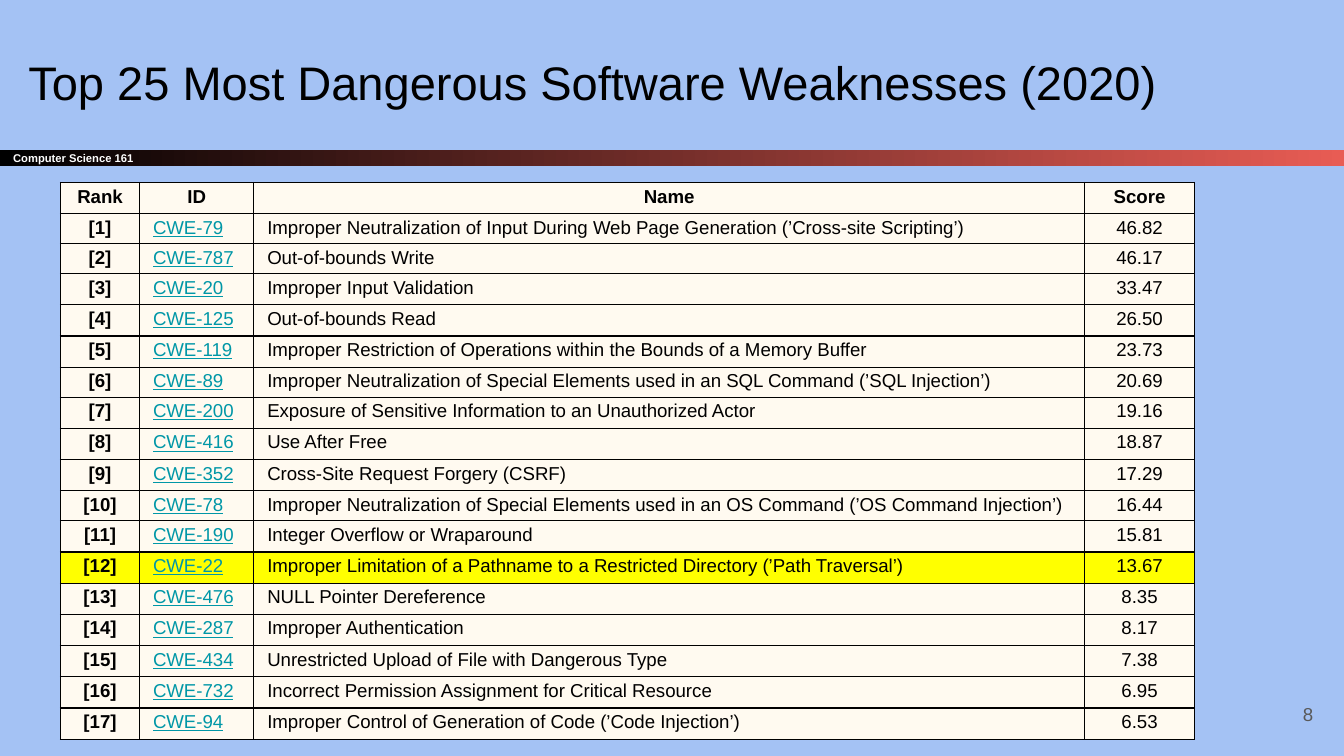
from lxml.etree import SubElement
from pptx import Presentation
from pptx.dml.color import RGBColor
from pptx.enum.shapes import MSO_SHAPE
from pptx.enum.text import MSO_ANCHOR, PP_ALIGN
from pptx.oxml.ns import qn
from pptx.util import Pt

COLORS = {
    "background": "A4C2F4",
    "text": "000000",
    "bar_start": "000000",
    "bar_end": "E85C54",
    "bar_text": "FFFFFF",
    "page_number": "595959",
    "cell": "FFFAF0",
    "highlight": "FFFF00",
    "link": "0097A7",
    "border": "000000",
}
FONT = "Arial"
INSET = 7.2
HEADINGS = ("Rank", "ID", "Name", "Score")
WEAKNESSES = [
    ("CWE-79", "Improper Neutralization of Input During Web Page Generation (’Cross-site Scripting’)", "46.82"),
    ("CWE-787", "Out-of-bounds Write", "46.17"),
    ("CWE-20", "Improper Input Validation", "33.47"),
    ("CWE-125", "Out-of-bounds Read", "26.50"),
    ("CWE-119", "Improper Restriction of Operations within the Bounds of a Memory Buffer", "23.73"),
    ("CWE-89", "Improper Neutralization of Special Elements used in an SQL Command (’SQL Injection’)", "20.69"),
    ("CWE-200", "Exposure of Sensitive Information to an Unauthorized Actor", "19.16"),
    ("CWE-416", "Use After Free", "18.87"),
    ("CWE-352", "Cross-Site Request Forgery (CSRF)", "17.29"),
    ("CWE-78", "Improper Neutralization of Special Elements used in an OS Command (’OS Command Injection’)", "16.44"),
    ("CWE-190", "Integer Overflow or Wraparound", "15.81"),
    ("CWE-22", "Improper Limitation of a Pathname to a Restricted Directory (’Path Traversal’)", "13.67"),
    ("CWE-476", "NULL Pointer Dereference", "8.35"),
    ("CWE-287", "Improper Authentication", "8.17"),
    ("CWE-434", "Unrestricted Upload of File with Dangerous Type", "7.38"),
    ("CWE-732", "Incorrect Permission Assignment for Critical Resource", "6.95"),
    ("CWE-94", "Improper Control of Generation of Code (’Code Injection’)", "6.53"),
]
HIGHLIGHTED_ID = "CWE-22"
COLUMN_WIDTHS = (42.4, 61.2, 445, 59)
ROW_HEIGHT = 16.75
SHORT_ROWS = {1: 15.55, 2: 15.55, 6: 16.1, 10: 15.8}


def color(name):
    """Return the named colour."""
    return RGBColor.from_string(COLORS[name])


def write(frame, text, size, color_name="text", align=PP_ALIGN.LEFT, bold=False, underline=False):
    """Fill a text frame with one formatted paragraph."""
    frame.text = text
    para = frame.paragraphs[0]
    para.alignment = align
    for span in para.runs:
        span.font.name = FONT
        span.font.size = Pt(size)
        span.font.bold = bold
        span.font.underline = underline
        span.font.color.rgb = color(color_name)


def set_insets(frame, horizontal, vertical):
    """Set the inner margins of a text frame or table cell."""
    frame.margin_left = frame.margin_right = Pt(horizontal)
    frame.margin_top = frame.margin_bottom = Pt(vertical)


def add_course_bar(page, left, top, width, height):
    """Draw the gradient bar with the course name."""
    bar = page.shapes.add_shape(MSO_SHAPE.RECTANGLE, Pt(left), Pt(top), Pt(width), Pt(height))
    bar.shadow.inherit = False
    bar.line.fill.background()
    bar.fill.gradient()
    bar.fill.gradient_angle = 0
    for stop, position, name in zip(bar.fill.gradient_stops, (0, 1), ("bar_start", "bar_end")):
        stop.position = position
        stop.color.rgb = color(name)
    frame = bar.text_frame
    set_insets(frame, INSET, 0)
    frame.vertical_anchor = MSO_ANCHOR.MIDDLE
    write(frame, "Computer Science 161", 6, "bar_text", bold=True)


def add_title(page, left, top, width, height):
    """Place the slide title in its placeholder."""
    title = page.shapes.title
    title.left, title.top, title.width, title.height = Pt(left), Pt(top), Pt(width), Pt(height)
    frame = title.text_frame
    frame.word_wrap = True
    set_insets(frame, INSET, INSET)
    frame.vertical_anchor = MSO_ANCHOR.TOP
    write(frame, "Top 25 Most Dangerous Software Weaknesses (2020)", 25.2)


def add_page_number(page, left, top, width, height):
    """Place the page number at the right of its box."""
    box = page.shapes.add_textbox(Pt(left), Pt(top), Pt(width), Pt(height))
    frame = box.text_frame
    frame.word_wrap = True
    set_insets(frame, INSET, INSET)
    frame.vertical_anchor = MSO_ANCHOR.MIDDLE
    write(frame, "8", 10, "page_number", PP_ALIGN.RIGHT)


def add_borders(cell):
    """Draw a thin line on all four sides of a cell."""
    properties = cell._tc.get_or_add_tcPr()
    for side in ("a:lnL", "a:lnR", "a:lnT", "a:lnB"):
        line = SubElement(properties, qn(side), w=str(Pt(0.75)))
        fill = SubElement(line, qn("a:solidFill"))
        SubElement(fill, qn("a:srgbClr"), val=COLORS["border"])


def add_weakness_table(page, left, top):
    """Build the ranking table, with one row highlighted."""
    rows = [HEADINGS] + [(f"[{rank}]", *entry) for rank, entry in enumerate(WEAKNESSES, 1)]
    heights = [SHORT_ROWS.get(index, ROW_HEIGHT) for index in range(len(rows))]
    table = page.shapes.add_table(
        len(rows), len(HEADINGS), Pt(left), Pt(top), Pt(sum(COLUMN_WIDTHS)), Pt(sum(heights))
    ).table
    for column, width in zip(table.columns, COLUMN_WIDTHS):
        column.width = Pt(width)
    for row_index, values in enumerate(rows):
        table.rows[row_index].height = Pt(heights[row_index])
        fill_name = "highlight" if values[1] == HIGHLIGHTED_ID else "cell"
        for heading, cell, value in zip(HEADINGS, table.rows[row_index].cells, values):
            is_header = row_index == 0
            is_link = heading == "ID" and not is_header
            centred = is_header or heading in ("Rank", "Score")
            set_insets(cell, INSET, 2)
            add_borders(cell)
            cell.fill.solid()
            cell.fill.fore_color.rgb = color(fill_name)
            write(
                cell.text_frame, value, 10,
                "link" if is_link else "text",
                PP_ALIGN.CENTER if centred else PP_ALIGN.LEFT,
                bold=is_header or heading == "Rank",
                underline=is_link,
            )


def main():
    """Build the slide and save the deck."""
    deck = Presentation()
    deck.slide_width, deck.slide_height = Pt(720), Pt(405)
    page = deck.slides.add_slide(deck.slide_layouts[5])
    page.background.fill.solid()
    page.background.fill.fore_color.rgb = color("background")
    add_course_bar(page, 0, 80.2, 720, 8.6)
    add_title(page, 8, 21.6, 671, 45.4)
    add_page_number(page, 667.4, 367.2, 43.2, 31)
    add_weakness_table(page, 32.4, 97.8)
    deck.save("out.pptx")


if __name__ == "__main__":
    main()
